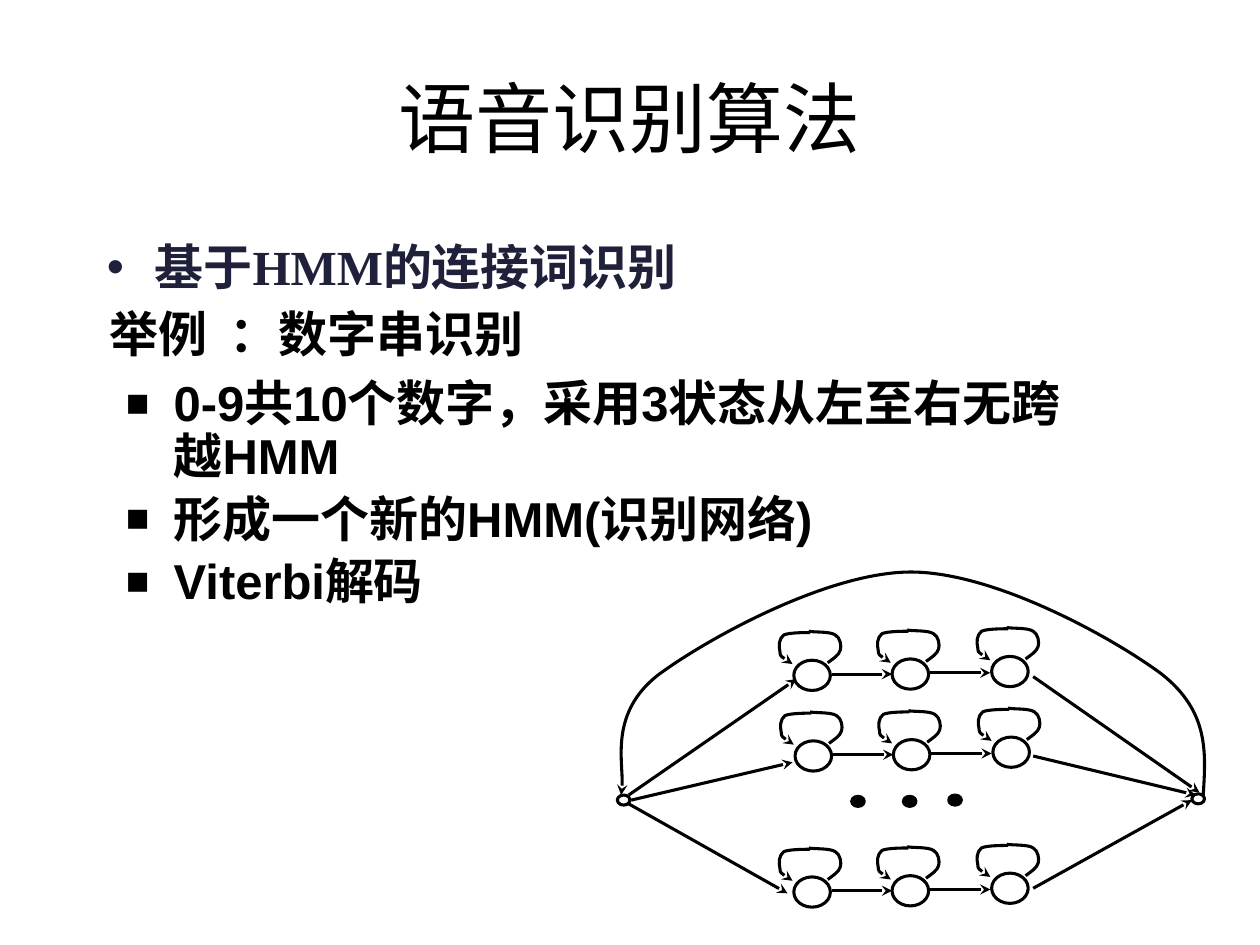
from lxml.etree import SubElement
from pptx import Presentation
from pptx.dml.color import RGBColor
from pptx.enum.shapes import MSO_CONNECTOR, MSO_SHAPE
from pptx.enum.text import MSO_ANCHOR, PP_ALIGN
from pptx.oxml.ns import qn
from pptx.util import Inches, Pt

BLACK = RGBColor(0, 0, 0)
NAVY = RGBColor(0x1F, 0x20, 0x39)
CJK_FONT = "Noto Sans CJK SC"

TITLE = "语音识别算法"
TEXT_BOXES = [
    dict(at=(0.75, 1.83, 8.5, 0.66), lines=["基于HMM的连接词识别"], font="Times New Roman",
         color=NAVY, bullet="•", bullet_size=100, margin=0.38, indent=-0.38, spacing=1.0),
    dict(at=(0.27, 2.41, 4.33, 0.52), lines=["举例  ：数字串识别"], font="Arial",
         color=BLACK, bullet=None, margin=0.5, indent=0, spacing=0.9),
    dict(at=(0.9, 2.96, 7.88, 1.99),
         lines=["0-9共10个数字，采用3状态从左至右无跨越HMM", "形成一个新的HMM(识别网络)", "Viterbi解码"],
         font="Arial", color=BLACK, bullet="■", bullet_size=80,
         margin=0.38, indent=-0.38, spacing=0.9),
]

STATE_SIZE = (0.29, 0.24)
DOT_SIZE = (0.1, 0.08)
WORD_ROWS = [(6.3, 5.24), (6.31, 5.88), (6.3, 6.96)]  # first state of each word model
STATE_STEPS = [(0, 0), (0.78, -0.01), (1.57, -0.03)]
# Bezier points of a self-loop, measured from the corner of its state
LOOP_RIGHT = [(0.27, 0.02), (0.31, -0.01), (0.36, -0.04), (0.37, -0.08), (0.38, -0.11),
              (0.37, -0.18), (0.33, -0.2), (0.29, -0.23), (0.16, -0.22), (0.12, -0.23)]
LOOP_LEFT = [(-0.01, 0.03), (-0.06, 0), (-0.11, -0.03), (-0.11, -0.07), (-0.12, -0.11),
             (-0.12, -0.17), (-0.08, -0.2), (-0.04, -0.22), (0.09, -0.22), (0.13, -0.22)]
ELLIPSIS_DOTS = [(6.76, 6.32), (7.17, 6.32), (7.53, 6.31)]
END_NODES = [(4.9, 6.31), (9.46, 6.3)]
NODE_ARROWS = [
    ((4.99, 6.31), (6.32, 5.39)), ((5.01, 6.35), (6.29, 6.05)), ((4.99, 6.38), (6.25, 7.09)),
    ((8.2, 5.37), (9.52, 6.29)), ((8.2, 6), (9.49, 6.31)), ((8.2, 7.05), (9.46, 6.35)),
]
RETURN_ARC = [(9.55, 6.31), (9.57, 5.98), (9.6, 5.65), (9.22, 5.35), (8.83, 5.06),
              (7.89, 4.54), (7.23, 4.54), (6.57, 4.54), (5.61, 5.07), (5.22, 5.36),
              (4.84, 5.66), (4.97, 6.15), (4.93, 6.31)]


def set_font(paragraph, latin, size, color, bold):
    run = paragraph.runs[0]
    for name, value in dict(name=latin, size=Pt(size), bold=bold).items():
        setattr(run.font, name, value)
    run.font.color.rgb = color
    SubElement(run.font._element, qn("a:ea"), typeface=CJK_FONT)


def add_text(slide, box):
    frame = slide.shapes.add_textbox(*map(Inches, box["at"])).text_frame
    frame.word_wrap = True
    frame.text = "\n".join(box["lines"])
    for paragraph in frame.paragraphs:
        paragraph.line_spacing = box["spacing"]
        paragraph.space_before = Pt(5.6)
        set_font(paragraph, box["font"], 28, box["color"], True)
        properties = paragraph._p.get_or_add_pPr()
        properties.set("marL", str(Inches(box["margin"])))
        properties.set("indent", str(Inches(box["indent"])))
        if box["bullet"]:
            SubElement(properties, qn("a:buSzPct"), val=str(box["bullet_size"] * 1000))
            SubElement(properties, qn("a:buFont"), typeface="Arial")
            SubElement(properties, qn("a:buChar"), char=box["bullet"])


def style_line(shape, arrow=None):
    """Black outline; arrow is headEnd (at the start), tailEnd (at the end) or None."""
    shape.line.color.rgb = BLACK
    shape.line.width = Pt(1.75)
    if arrow:
        SubElement(shape.line._get_or_add_ln(), qn(f"a:{arrow}"), type="stealth")


def add_ellipse(group, corner, size, filled=False):
    shape = group.shapes.add_shape(MSO_SHAPE.OVAL, *map(Inches, corner + size))
    shape.shadow.inherit = False
    if filled:
        shape.fill.solid()
        shape.fill.fore_color.rgb = BLACK
    else:
        shape.fill.background()
    style_line(shape)


def add_arrow(group, start, end):
    connector = group.shapes.add_connector(MSO_CONNECTOR.STRAIGHT, *map(Inches, start + end))
    style_line(connector, "tailEnd")
    SubElement(connector._element.spPr, qn("a:effectLst"))


def add_curve(group, points, arrow=None):
    """Draw the points as a chain of cubic Bezier segments."""
    start, *rest = [(Inches(x), Inches(y)) for x, y in points]
    builder = group.shapes.build_freeform(*start)
    builder.add_line_segments(rest, close=False)
    shape = builder.convert_to_shape()
    outline = next(shape._element.iter(qn("a:path")))
    segments = outline.findall(qn("a:lnTo"))
    for first in range(0, len(segments), 3):
        curve = SubElement(outline, qn("a:cubicBezTo"))
        for segment in segments[first:first + 3]:
            curve.append(segment[0])
            outline.remove(segment)
    shape.shadow.inherit = False
    shape.fill.background()
    style_line(shape, arrow)


def add_word_model(group, left, top):
    """One row of three states with self-loops and forward arrows."""
    for index, (step_x, step_y) in enumerate(STATE_STEPS):
        x, y = left + step_x, top + step_y
        add_ellipse(group, (x, y), STATE_SIZE)
        for loop, arrow in ((LOOP_RIGHT, None), (LOOP_LEFT, "headEnd")):
            add_curve(group, [(x + dx, y + dy) for dx, dy in loop], arrow)
        if index < len(STATE_STEPS) - 1:
            add_arrow(group, (x + 0.3, y + 0.11), (x + 0.78, y + 0.11))


def main():
    presentation = Presentation()
    presentation.slide_width, presentation.slide_height = Inches(10), Inches(7.5)
    slide = presentation.slides.add_slide(presentation.slide_layouts[5])

    title = slide.shapes.title
    places = zip(("left", "top", "width", "height"), (0.5, 0.3, 9, 1.25))
    for name, value in places:
        setattr(title, name, Inches(value))
    title.text_frame.text = TITLE
    title.text_frame.vertical_anchor = MSO_ANCHOR.MIDDLE
    paragraph = title.text_frame.paragraphs[0]
    paragraph.alignment = PP_ALIGN.CENTER
    set_font(paragraph, CJK_FONT, 44, BLACK, False)

    for box in TEXT_BOXES:
        add_text(slide, box)

    network = slide.shapes.add_group_shape()
    for left, top in WORD_ROWS:
        add_word_model(network, left, top)
    for corner in ELLIPSIS_DOTS:
        add_ellipse(network, corner, DOT_SIZE, filled=True)
    for corner in END_NODES:
        add_ellipse(network, corner, DOT_SIZE)
    for start, end in NODE_ARROWS:
        add_arrow(network, start, end)
    add_curve(network, RETURN_ARC, "tailEnd")

    presentation.save("out.pptx")


if __name__ == "__main__":
    main()
